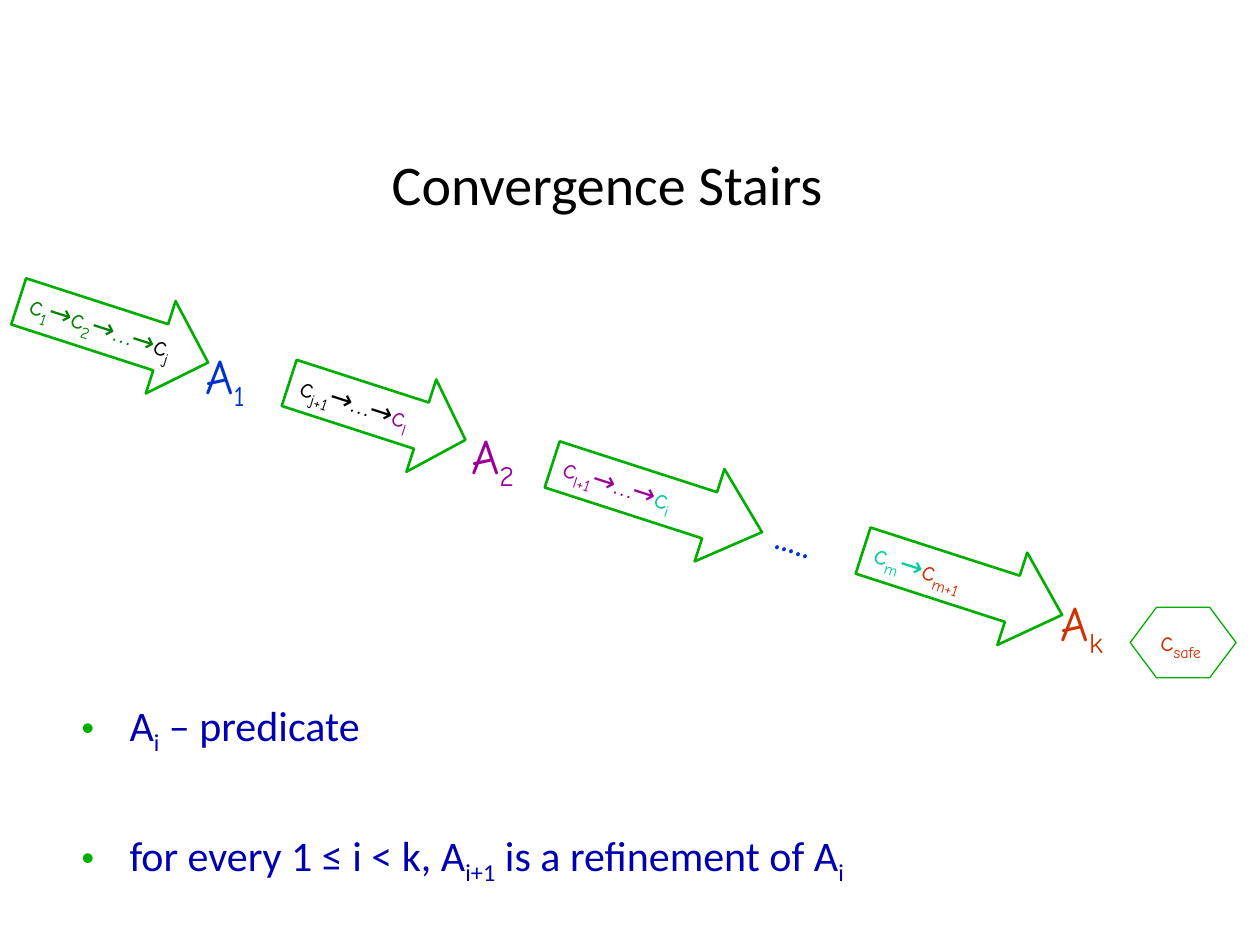
from pptx import Presentation
from pptx.dml.color import RGBColor
from pptx.enum.shapes import MSO_SHAPE as Shape
from pptx.enum.text import MSO_ANCHOR as Anchor, MSO_AUTO_SIZE as AutoSize, PP_ALIGN as Align
from pptx.oxml.ns import qn
from pptx.util import Inches, Pt
from lxml.etree import SubElement

BLACK = RGBColor(0x00, 0x00, 0x00)
GREEN = RGBColor(0x00, 0xAE, 0x00)
DARK_GREEN = RGBColor(0x00, 0x80, 0x00)
BLUE = RGBColor(0x00, 0x33, 0xCC)
NAVY = RGBColor(0x00, 0x00, 0xB0)
PURPLE = RGBColor(0x99, 0x00, 0x99)
TEAL = RGBColor(0x00, 0xCC, 0x99)
RED = RGBColor(0xCC, 0x33, 0x00)

ARROW_HEIGHT = 0.77
SLOPE = 17.9


def add_text(para, text, size=16, font="Comic Neue", color=BLACK):
    """Write text into a paragraph; every second part between underscores is a subscript."""
    for index, part in enumerate(text.split("_")):
        span = para.add_run()
        span.text = part
        span.font.size = Pt(size)
        span.font.name = font
        span.font.color.rgb = color
        if index % 2:
            span.font._element.set("baseline", "-25000")


def add_outline(kind, left, top, width, height, line_width, spans):
    """Add an unfilled green shape holding coloured spans of text."""
    shape = page.shapes.add_shape(
        kind, Inches(left), Inches(top), Inches(width), Inches(height))
    shape.shadow.inherit = False
    shape.fill.background()
    shape.line.color.rgb = GREEN
    shape.line.width = Pt(line_width)
    frame = shape.text_frame
    frame.word_wrap = False
    frame.vertical_anchor = Anchor.MIDDLE
    para = frame.paragraphs[0]
    para.alignment = Align.LEFT
    for text, color in spans:
        add_text(para, text, color=color)
    return shape


deck = Presentation()
deck.slide_width, deck.slide_height = Inches(10), Inches(7.5)
page = deck.slides.add_slide(deck.slide_layouts[5])

title = page.shapes.title
title.left, title.top = Inches(0.57), Inches(1.03)
title.width, title.height = Inches(8.5), Inches(0.85)
title.text_frame.vertical_anchor = Anchor.MIDDLE
title_para = title.text_frame.paragraphs[0]
title_para.alignment = Align.CENTER
add_text(title_para, "Convergence Stairs", size=32, font="Calibri")

# Arrows: left, top, width, spans
arrows = [
    (0.11, 2.25, 1.58, [("c_1_→c_2_→…→", DARK_GREEN), ("c_j", BLACK)]),
    (2.26, 2.88, 1.47, [("c_j+1_→…→", BLACK), ("c_l", PURPLE)]),
    (4.34, 3.57, 1.75, [("c_l+1_→…→", PURPLE), ("c_i", TEAL)]),
    (6.81, 4.24, 1.66, [("c_m_→", TEAL), ("c_m+1", RED)]),
]
for left, top, width, spans in arrows:
    arrow = add_outline(Shape.RIGHT_ARROW, left, top, width, ARROW_HEIGHT, 1.5, spans)
    arrow.rotation = SLOPE
    # The head takes a quarter of the arrow's length
    arrow.adjustments[1] = width / ARROW_HEIGHT / 4

safe = add_outline(Shape.HEXAGON, 8.97, 4.82, 0.84, 0.56, 0.75, [("c_safe", RED)])
safe.adjustments[0] = 0.374

# Stair labels: text, left, top, rotation, colour
labels = [
    ("A_1", 1.53, 2.69, 0, BLUE),
    ("A_2", 3.64, 3.33, 0, PURPLE),
    (".....", 6.07, 4.0, 16.6, BLUE),
    ("A_k", 8.32, 4.65, 0, RED),
]
for text, left, top, rotation, color in labels:
    label = page.shapes.add_textbox(Inches(left), Inches(top), Inches(0.73), Inches(0.57))
    label.rotation = rotation
    label.text_frame.word_wrap = True
    label.text_frame.auto_size = AutoSize.SHAPE_TO_FIT_TEXT
    add_text(label.text_frame.paragraphs[0], text, size=28, color=color)

notes_box = page.shapes.add_textbox(Inches(0.55), Inches(5.01), Inches(8.43), Inches(1.41))
frame = notes_box.text_frame
frame.word_wrap = True
frame.margin_top = Inches(0.54)
statements = ["A_i_ – predicate", "for every 1 ≤ i < k, A_i+1_ is a refinement of A_i"]
for index, statement in enumerate(statements):
    para = frame.add_paragraph() if index else frame.paragraphs[0]
    if index:
        para.space_before = Pt(41.5)
    add_text(para, statement, size=24, font="Calibri", color=NAVY)
    props = para._element.get_or_add_pPr()
    props.set("marL", str(Inches(0.38)))
    props.set("indent", str(-Inches(0.38)))
    bullet_color = SubElement(props, qn("a:buClr"))
    SubElement(bullet_color, qn("a:srgbClr"), val=str(GREEN))
    SubElement(props, qn("a:buSzPct"), val="85000")
    SubElement(props, qn("a:buFont"), typeface="Arial")
    SubElement(props, qn("a:buChar"), char="•")

deck.save("out.pptx")
